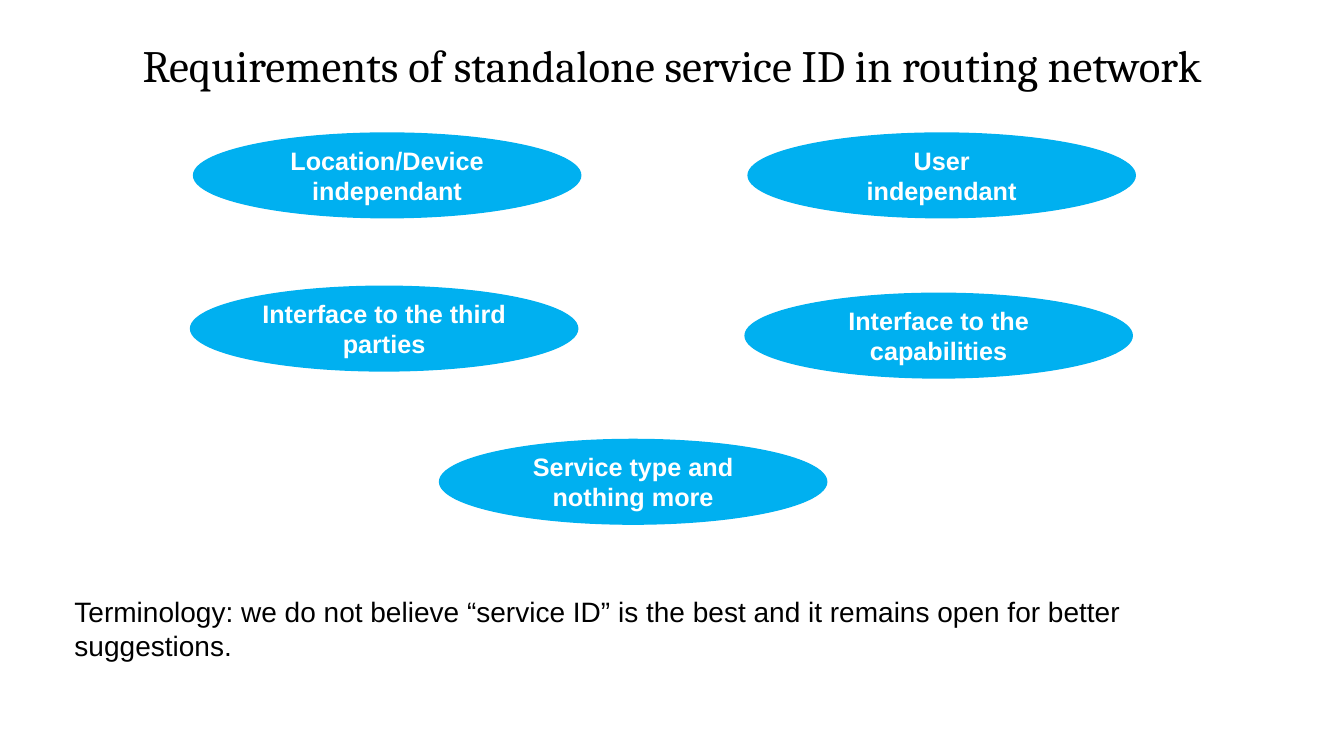
from dataclasses import dataclass

from pptx import Presentation
from pptx.dml.color import RGBColor
from pptx.enum.shapes import MSO_SHAPE as Preset
from pptx.enum.text import MSO_ANCHOR as Anchor, PP_ALIGN as Align
from pptx.slide import Slide
from pptx.text.text import TextFrame
from pptx.util import Inches, Pt

COLORS = {"text": "000000", "oval": "00B0F0", "oval_text": "FFFFFF"}
OVAL_WIDTH, OVAL_HEIGHT = 3.84, 0.84


@dataclass(frozen=True)
class Requirement:
    left: float
    top: float
    lines: tuple[str, ...]


@dataclass(frozen=True)
class Statement:
    left: float
    top: float
    width: float
    height: float
    text: str
    size: int
    font: str
    align: Align


REQUIREMENTS = (
    Requirement(1.92, 1.32, ("Location/Device independant",)),
    Requirement(7.42, 1.32, ("User", "independant")),
    Requirement(1.89, 2.84, ("Interface to the third parties",)),
    Requirement(7.39, 2.91, ("Interface to the capabilities",)),
    Requirement(4.36, 4.36, ("Service type and nothing more",)),
)

STATEMENTS = (
    Statement(1.08, 0.33, 11.18, 0.64,
              "Requirements of standalone service ID in routing network",
              32, "Cambria", Align.CENTER),
    Statement(0.64, 5.85, 12.18, 0.44,
              "Terminology: we do not believe “service ID” is the best "
              "and it remains open for better suggestions.",
              20, "Arial", Align.LEFT),
)


def rgb(name: str) -> RGBColor:
    return RGBColor.from_string(COLORS[name])


def write_lines(frame: TextFrame, lines: tuple[str, ...], size: int, font: str,
                color: str, align: Align, bold: bool = False) -> None:
    frame.word_wrap = True
    for index, line in enumerate(lines):
        paragraph = frame.add_paragraph() if index else frame.paragraphs[0]
        paragraph.alignment = align
        run = paragraph.add_run()
        run.text = line
        run.font.size = Pt(size)
        run.font.name = font
        run.font.bold = bold
        run.font.color.rgb = rgb(color)


def draw_requirement(slide: Slide, requirement: Requirement) -> None:
    oval = slide.shapes.add_shape(
        Preset.OVAL, Inches(requirement.left), Inches(requirement.top),
        Inches(OVAL_WIDTH), Inches(OVAL_HEIGHT))
    oval.shadow.inherit = False
    oval.fill.solid()
    oval.fill.fore_color.rgb = rgb("oval")
    oval.line.color.rgb = rgb("oval")
    oval.line.width = Pt(1)
    oval.text_frame.vertical_anchor = Anchor.MIDDLE
    write_lines(oval.text_frame, requirement.lines, 18, "Arial", "oval_text",
                Align.CENTER, bold=True)


def draw_statement(slide: Slide, statement: Statement) -> None:
    box = slide.shapes.add_textbox(
        Inches(statement.left), Inches(statement.top),
        Inches(statement.width), Inches(statement.height))
    write_lines(box.text_frame, (statement.text,), statement.size,
                statement.font, "text", statement.align)


def main() -> None:
    deck = Presentation()
    deck.slide_width, deck.slide_height = Inches(13.33), Inches(7.5)
    slide = deck.slides.add_slide(deck.slide_layouts[6])
    for statement in STATEMENTS:
        draw_statement(slide, statement)
    for requirement in REQUIREMENTS:
        draw_requirement(slide, requirement)
    deck.save("out.pptx")


if __name__ == "__main__":
    main()
